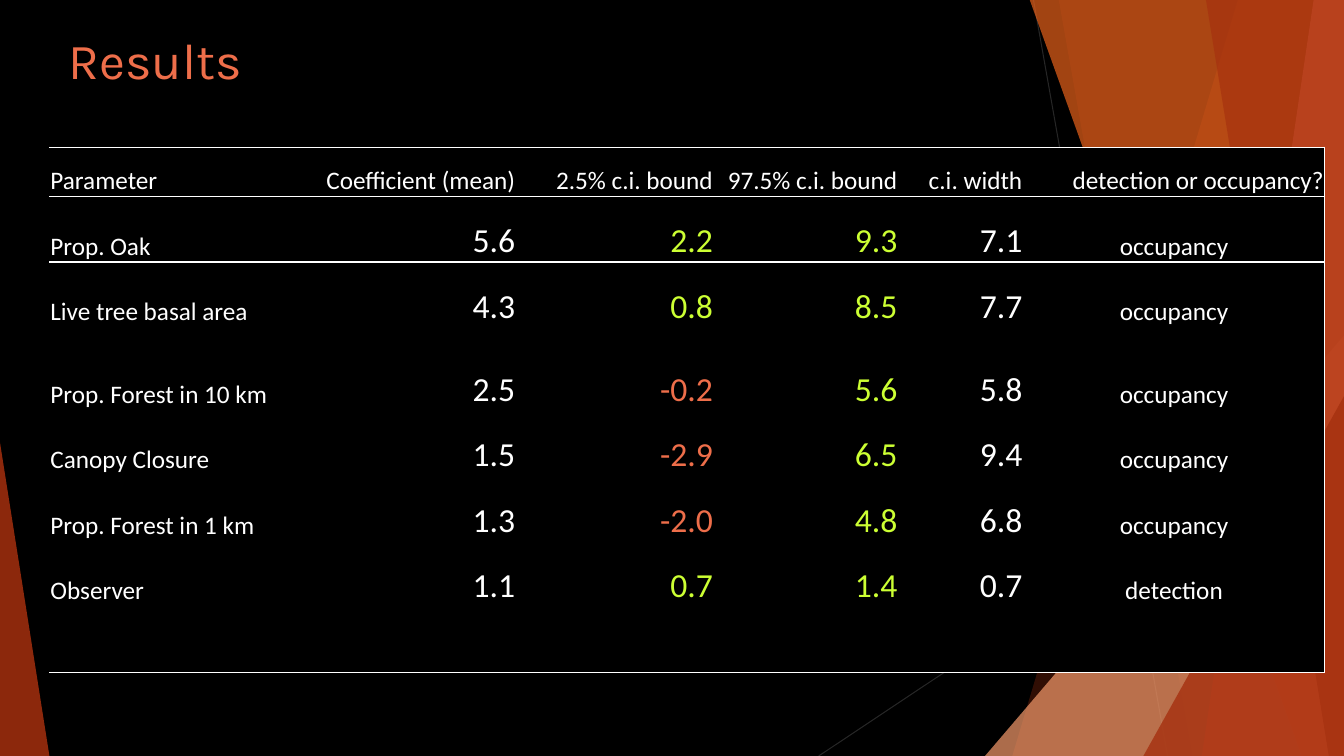
from dataclasses import dataclass

from lxml import etree
from pptx import Presentation
from pptx import util as u
from pptx.dml.color import RGBColor
from pptx.enum import shapes, text
from pptx.oxml.ns import qn

PX = 9144  # EMU per px, 100 px to the inch
WIDE, HIGH = 1333, 750
BLACK, WHITE, CORAL, LIME = "000000", "FFFFFF", "EE6E4A", "CCFF33"
RUST, GREY = "A5300F", "262626"
PLAIN = "{2D5ABB26-0587-4C30-8999-92F81FD0307C}"  # table style without grid
LEFT, MID, RIGHT = text.PP_ALIGN.LEFT, text.PP_ALIGN.CENTER, text.PP_ALIGN.RIGHT


@dataclass
class Ray:
    start: tuple[int, int]
    end: tuple[int, int]


@dataclass
class Shard:
    """A band from the top edge to the bottom edge, ending at the right edge."""
    top: int
    foot: int
    hue: str
    alpha: int


@dataclass
class Wedge:
    """A right triangle standing on the bottom edge; apex 0 is left, 1 right."""
    left: int
    top: int
    width: int
    apex: int
    hue: str
    alpha: int


RAYS = [Ray((1025, 0), (1158, HIGH)), Ray((WIDE, 403), (812, HIGH))]
FACETS = [
    Shard(1228, 1004, RUST, 30),
    Shard(1050, 1183, RUST, 20),
    Wedge(977, 333, 356, 1, "EF9769", 72),
    Shard(1021, 1291, "E7611B", 70),
    Shard(1303, 1192, CORAL, 70),
    Shard(1196, 1318, RUST, 65),
    Wedge(1134, 393, 199, 1, RUST, 80),
    Wedge(0, 439, 49, 0, RUST, 85),
]
COLS = [242, 221, 196, 183, 124, 299]
ROWS = [49, 65, 65, 82, 65, 65, 65, 65]
DATA = [
    ["Parameter", "Coefficient (mean)", "2.5% c.i. bound", "97.5% c.i. bound",
     "c.i. width", "detection or occupancy?"],
    ["Prop. Oak", "5.6", "2.2", "9.3", "7.1", "occupancy"],
    ["Live tree basal area", "4.3", "0.8", "8.5", "7.7", "occupancy"],
    ["Prop. Forest in 10 km", "2.5", "-0.2", "5.6", "5.8", "occupancy"],
    ["Canopy Closure", "1.5", "-2.9", "6.5", "9.4", "occupancy"],
    ["Prop. Forest in 1 km", "1.3", "-2.0", "4.8", "6.8", "occupancy"],
    ["Observer", "1.1", "0.7", "1.4", "0.7", "detection"],
    [""] * 6,
]
LAST_ROW, LAST_COL = len(ROWS) - 1, len(COLS) - 1


def px(*sizes: int) -> list[int]:
    return [size * PX for size in sizes]


def paint(fill, hue: str) -> None:
    fill.solid()
    fill.fore_color.rgb = RGBColor.from_string(hue)


def style(para, face: str, size: int, hue: str) -> None:
    para.font.name, para.font.size = face, u.Pt(size)
    para.font.color.rgb = RGBColor.from_string(hue)


def draw_ray(slide, ray: Ray) -> None:
    line = slide.shapes.add_connector(
        shapes.MSO_CONNECTOR.STRAIGHT, *px(*ray.start, *ray.end))
    paint(line.line.fill, GREY)
    line.line.width = u.Pt(0.75)
    etree.SubElement(line.element.spPr, qn("a:effectLst"))


def draw_facet(slide, facet: Shard | Wedge) -> None:
    if isinstance(facet, Shard):
        form = slide.shapes.build_freeform(facet.top, -1, PX)
        form.add_line_segments([(WIDE, -1), (WIDE, HIGH), (facet.foot, HIGH)])
        shape = form.convert_to_shape()
    else:
        shape = slide.shapes.add_shape(
            shapes.MSO_SHAPE.ISOSCELES_TRIANGLE,
            *px(facet.left, facet.top, facet.width, HIGH - facet.top))
        shape.adjustments[0] = facet.apex
    shape.shadow.inherit = False
    paint(shape.fill, facet.hue)
    shape.line.fill.background()
    tint = next(shape.element.spPr.iter(qn("a:srgbClr")))
    etree.SubElement(tint, qn("a:alpha"), val=str(facet.alpha * 1000))


def draw_title(slide) -> None:
    box = slide.shapes.add_textbox(*px(58, 24, 940, 144))
    box.text_frame.word_wrap = True
    para = box.text_frame.paragraphs[0]
    para.text = "Results"
    style(para, "Karla", 36, CORAL)


def edge(props, side: str) -> None:
    line = etree.SubElement(props, qn(f"a:ln{side}"), w=str(u.Pt(1)))
    fill = etree.SubElement(line, qn("a:solidFill"))
    etree.SubElement(fill, qn("a:srgbClr"), val=WHITE)


def look(row: int, col: int, word: str) -> tuple:
    """Alignment, text size and colour of a cell."""
    if col == 0:
        return LEFT, 18, WHITE
    if row == 0:
        return RIGHT, 18, WHITE
    if col == LAST_COL:
        return MID, 18, WHITE
    hue = WHITE
    if col in (2, 3):
        hue = CORAL if word.startswith("-") else LIME
    return RIGHT, 24, hue


def fill_cell(cell, node, row: int, col: int) -> None:
    word = DATA[row][col]
    cell.vertical_anchor = text.MSO_ANCHOR.BOTTOM
    cell.margin_left, cell.margin_right, cell.margin_top = px(1, 1, 1)
    cell.margin_bottom = 0
    props = node.find(qn("a:tcPr"))
    if col == LAST_COL:
        edge(props, "R")
    if row in (0, 1):
        edge(props, "T")
    if row in (0, LAST_ROW):
        edge(props, "B")
    paint(cell.fill, BLACK)
    if word:
        para = cell.text_frame.paragraphs[0]
        para.text = word
        para.alignment, size, hue = look(row, col, word)
        style(para, "Calibri", size, hue)


def draw_table(slide) -> None:
    frame = slide.shapes.add_table(
        len(ROWS), len(COLS), *px(49, 146, sum(COLS), sum(ROWS)))
    table = frame.table
    table.first_row = table.horz_banding = False
    next(frame.element.iter(qn("a:tableStyleId"))).text = PLAIN
    for col, width in zip(table.columns, COLS):
        col.width = width * PX
    for row, height in zip(table.rows, ROWS):
        row.height = height * PX
    nodes = frame.element.iter(qn("a:tc"))
    for i, (cell, node) in enumerate(zip(table.iter_cells(), nodes)):
        fill_cell(cell, node, *divmod(i, len(COLS)))


def main() -> None:
    deck = Presentation()
    deck.slide_width, deck.slide_height = px(WIDE, HIGH)
    slide = deck.slides.add_slide(deck.slide_layouts[6])
    paint(slide.background.fill, BLACK)
    for ray in RAYS:
        draw_ray(slide, ray)
    for facet in FACETS:
        draw_facet(slide, facet)
    draw_title(slide)
    draw_table(slide)
    deck.save("out.pptx")


if __name__ == "__main__":
    main()
